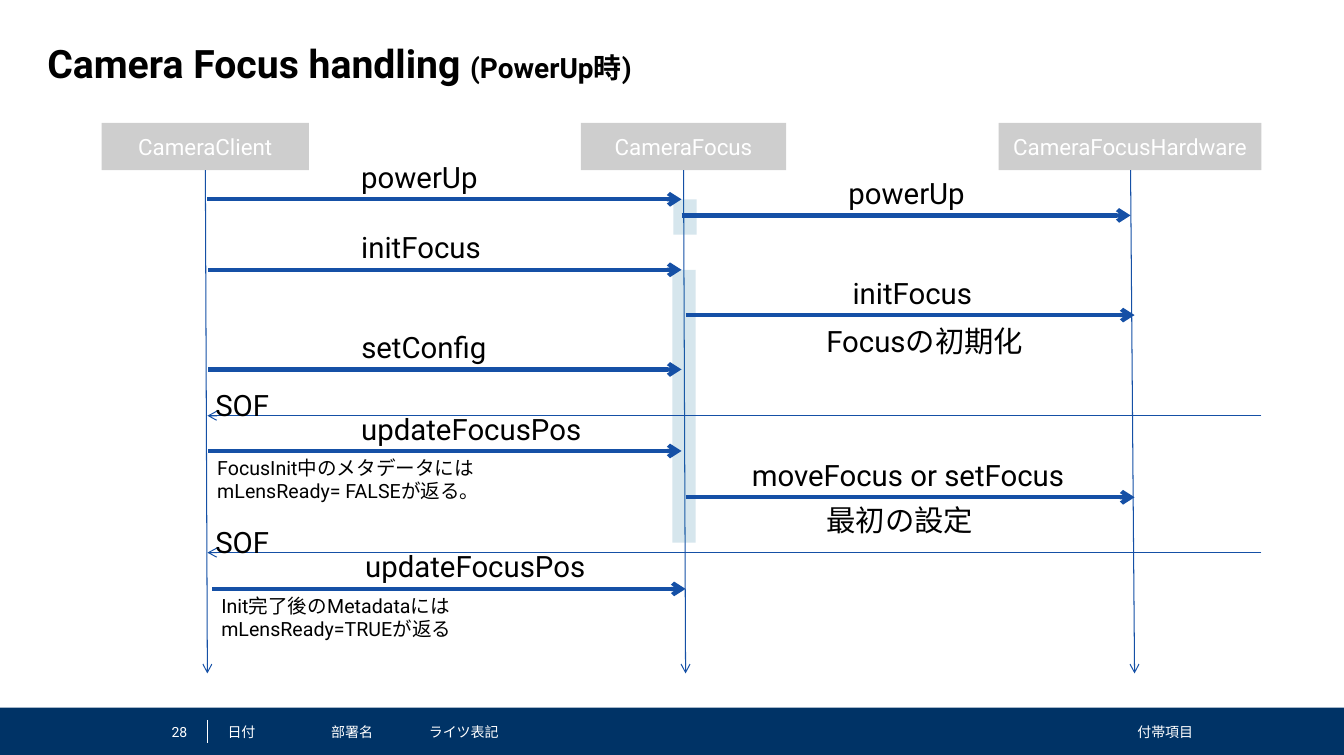
from collections import namedtuple

from lxml.etree import SubElement
from pptx import Presentation
from pptx.dml.color import RGBColor
from pptx.enum.shapes import MSO_CONNECTOR as Connector, MSO_SHAPE as Shape
from pptx.enum.text import MSO_ANCHOR as Anchor, PP_ALIGN as Align
from pptx.oxml.ns import qn
from pptx.util import Pt

PX = 9144
FONT = "Roboto"
BLACK, WHITE = "000000", "FFFFFF"
NAVY, BLUE, TEAL, INK = "003366", "1550A6", "3284A6", "0D0D0D"
LABEL_HEIGHT = 45

Box = namedtuple("Box", "left top width height")
Message = namedtuple("Message", "start end y label label_left label_width")
Note = namedtuple("Note", "left top width height size lines")

PARTICIPANTS = [
    ("CameraClient", 0, 206, 103, 2),
    ("CameraFocus", 476, 204, 578, 2),
    ("CameraFocusHardware", 891, 261, 1022, 4),
]
ACTIVATIONS = [Box(568, 76, 23, 35), Box(567, 146, 23, 271)]
MESSAGES = [
    Message(105, 576, 76, "powerUp", 248, 144),
    Message(576, 1022, 92, "powerUp", 732, 144),
    Message(106, 576, 146, "initFocus", 248, 140),
    Message(580, 1026, 191, "initFocus", 736, 140),
    Message(106, 576, 245, "setConfig", 248, 149),
    Message(106, 576, 326, "updateFocusPos", 248, 243),
    Message(580, 1026, 372, "moveFocus or setFocus", 636, 336),
    Message(110, 580, 463, "updateFocusPos", 252, 243),
]
FRAME_STARTS = [291, 427]
NOTES = [
    Note(710, 194, 216, 45, 21, ["Focusの初期化"]),
    Note(710, 372, 167, 45, 21, ["最初の設定"]),
    Note(105, 326, 283, 57, 14, ["FocusInit中のメタデータには", "mLensReady= FALSEが返る。"]),
    Note(109, 463, 253, 57, 14, ["Init完了後のMetadataには", "mLensReady=TRUEが返る"]),
]


def color(value):
    return RGBColor.from_string(value)


def emu(*lengths):
    return [length * PX for length in lengths]


def add_run(paragraph, text, size, ink=BLACK, bold=False):
    run = paragraph.add_run()
    run.text = text
    run.font.name = FONT
    run.font.size = Pt(size)
    run.font.bold = bold
    run.font.color.rgb = color(ink)


def write(shape, lines, size, ink=BLACK, align=Align.LEFT, anchor=Anchor.TOP,
          insets=(10, 5, 10, 5), tab=None):
    frame = shape.text_frame
    frame.word_wrap = True
    frame.vertical_anchor = anchor
    (frame.margin_left, frame.margin_top,
     frame.margin_right, frame.margin_bottom) = emu(*insets)
    for index, line in enumerate(lines):
        paragraph = frame.add_paragraph() if index else frame.paragraphs[0]
        paragraph.alignment = align
        if tab:
            stops = SubElement(paragraph._p.get_or_add_pPr(), qn("a:tabLst"))
            SubElement(stops, qn("a:tab"), pos=str(tab * PX), algn="l")
        add_run(paragraph, line, size, ink)


def add_text(slide, box, lines, size, **style):
    shape = slide.shapes.add_textbox(*emu(*box))
    write(shape, lines, size, **style)
    return shape


def add_block(slide, box, fill, opacity=None):
    shape = slide.shapes.add_shape(Shape.RECTANGLE, *emu(*box))
    shape.shadow.inherit = False
    shape.line.fill.background()
    shape.fill.solid()
    shape.fill.fore_color.rgb = color(fill)
    if opacity:
        tint = shape._element.spPr.find(qn("a:solidFill"))[0]
        SubElement(tint, qn("a:alpha"), val=str(opacity * 1000))
    return shape


def add_line(slide, start, end, width, ink=BLUE, arrow=True):
    connector = slide.shapes.add_connector(Connector.STRAIGHT, *emu(*start, *end))
    connector.line.width = Pt(width)
    connector.line.color.rgb = color(ink)
    if arrow:
        SubElement(connector.line._get_or_add_ln(), qn("a:tailEnd"), type="arrow")
    SubElement(connector._element.spPr, qn("a:effectLst"))


def add_title(slide, box):
    shape = add_text(slide, box, ["Camera Focus handling "], 28, insets=(0, 0, 0, 0))
    paragraph = shape.text_frame.paragraphs[0]
    paragraph.runs[0].font.bold = True
    add_run(paragraph, "(PowerUp時)", 20, bold=True)


def add_sequence(slide, box):
    left, top, width, height = box
    head_height = 47

    for name, offset, head_width, line_x, drift in PARTICIPANTS:
        head = add_block(slide, Box(left + offset, top, head_width, head_height), INK, 20)
        write(head, [name], 16, ink=WHITE, align=Align.CENTER, anchor=Anchor.MIDDLE)
        add_line(slide, (left + line_x, top + head_height),
                 (left + line_x + drift, top + height), 0.75)

    for bar in ACTIVATIONS:
        add_block(slide, Box(left + bar.left, top + bar.top, bar.width, bar.height), TEAL, 20)

    for message in MESSAGES:
        y = top + message.y
        add_line(slide, (left + message.start, y), (left + message.end, y), 3)
        add_text(slide, Box(left + message.label_left, y - LABEL_HEIGHT,
                            message.label_width, LABEL_HEIGHT), [message.label], 21)

    for offset in FRAME_STARTS:
        y = top + offset
        add_line(slide, (left + width, y), (left + 105, y), 0.75)
        add_text(slide, Box(left + 103, y - 33, 76, LABEL_HEIGHT), ["SOF"], 21)

    for note in NOTES:
        add_text(slide, Box(left + note.left, top + note.top, note.width, note.height),
                 note.lines, note.size)


def add_footer(slide, box):
    left, top, width, height = box
    add_block(slide, box, NAVY)
    add_line(slide, (left + 206, top + 12), (left + 206, top + 35), 0.25, WHITE, arrow=False)
    items = [
        ("28", 155, 31, Align.RIGHT, 0, None),
        ("日付", 226, 85, Align.LEFT, 0, None),
        ("部署名\tライツ表記", 329, 531, Align.LEFT, 0, 97),
        ("付帯項目", 878, 315, Align.RIGHT, 8, None),
    ]
    for text, offset, item_width, align, inset, tab in items:
        add_text(slide, Box(left + offset, top + 12, item_width, 24), [text], 10,
                 ink=WHITE, align=align, anchor=Anchor.MIDDLE,
                 insets=(inset, 0, inset, 0), tab=tab)


def main():
    presentation = Presentation()
    presentation.slide_width, presentation.slide_height = emu(1335, 750)
    slide = presentation.slides.add_slide(presentation.slide_layouts[6])
    add_footer(slide, Box(0, 703, 1335, 47))
    add_title(slide, Box(47, 39, 1240, 59))
    add_sequence(slide, Box(101, 122, 1152, 547))
    presentation.save("out.pptx")


if __name__ == "__main__":
    main()
